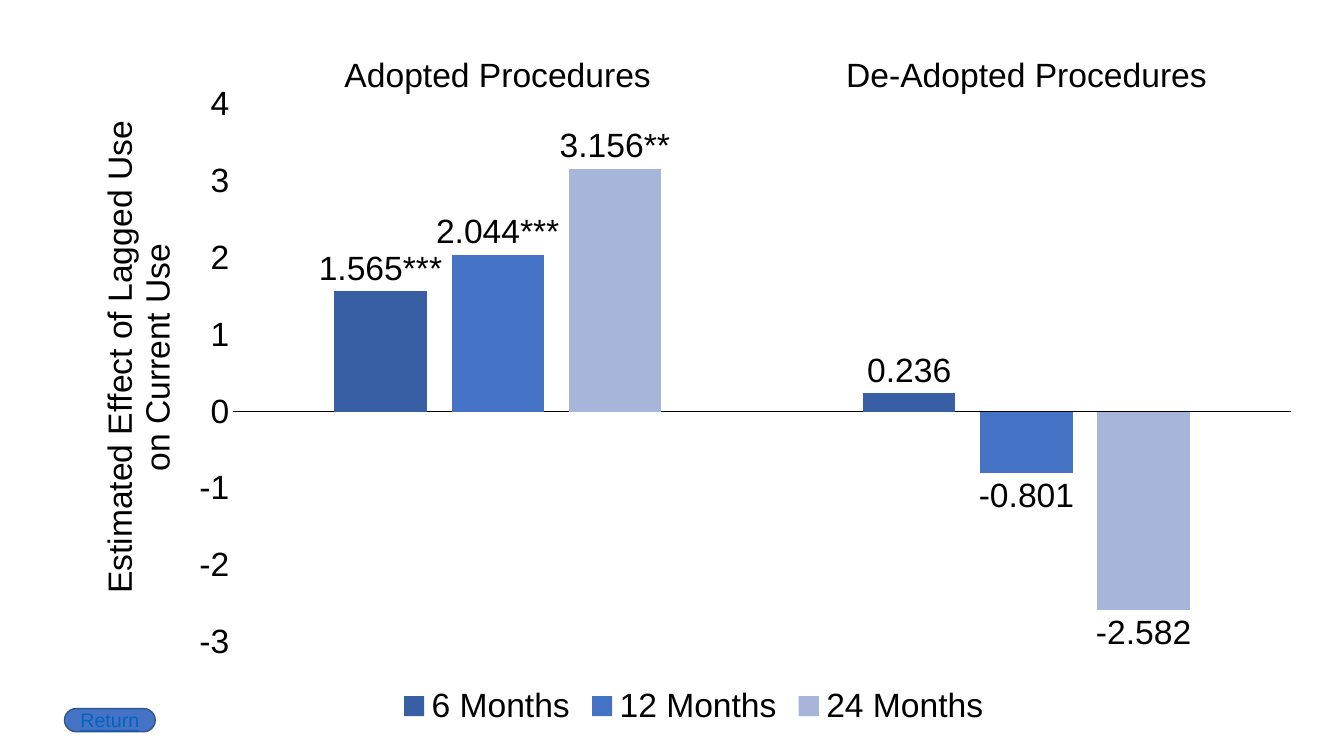
from lxml import etree
from pptx import Presentation
from pptx import util as u
from pptx.chart import data
from pptx.dml.color import RGBColor
from pptx.enum import chart as charts, shapes, text
from pptx.oxml import ns

# Content
CATEGORIES = ["Adopted Procedures", "De-Adopted Procedures"]
BLACK = RGBColor(0x00, 0x00, 0x00)
BLUE = RGBColor(0x44, 0x72, 0xC4)
DARK_BLUE = RGBColor(0x38, 0x5F, 0xA3)
PALE_BLUE = RGBColor(0xA8, 0xB5, 0xDB)
OUTLINE_BLUE = RGBColor(0x32, 0x54, 0x91)
LINK_BLUE = RGBColor(0x05, 0x63, 0xC1)
# name, values, label of the first bar, colour
SERIES = [
    ("6 Months", (1.565, 0.236), "1.565***", DARK_BLUE),
    ("12 Months", (2.044, -0.801), "2.044***", BLUE),
    ("24 Months", (3.156, -2.582), "3.156**", PALE_BLUE),
]
AXIS_TITLE = ["Estimated Effect of Lagged Use", "on Current Use"]
FONT = "Arial"


def set_font(font, size=24, color=BLACK):
    font.name = FONT
    font.size = u.Pt(size)
    font.bold = False
    font.color.rgb = color


def set_layout(parent, index, **fractions):
    """Place a chart part by fractions of the chart's size."""
    for old in parent.findall(ns.qn("c:layout")):
        parent.remove(old)
    layout = etree.Element(ns.qn("c:layout"))
    manual = etree.SubElement(layout, ns.qn("c:manualLayout"))
    if "w" in fractions:
        etree.SubElement(manual, ns.qn("c:layoutTarget"), val="inner")
    for side in ("x", "y"):
        etree.SubElement(manual, ns.qn(f"c:{side}Mode"), val="edge")
    for key, value in fractions.items():
        etree.SubElement(manual, ns.qn(f"c:{key}"), val=str(value))
    parent.insert(index, layout)


presentation = Presentation()
presentation.slide_width = u.Inches(13.33)
presentation.slide_height = u.Inches(7.5)
slide = presentation.slides.add_slide(presentation.slide_layouts[6])

# Chart
chart_data = data.CategoryChartData()
chart_data.categories = CATEGORIES
for name, values, _, _ in SERIES:
    chart_data.add_series(name, values)
chart = slide.shapes.add_chart(
    charts.XL_CHART_TYPE.COLUMN_CLUSTERED,
    u.Inches(0.71), u.Inches(0.42), u.Inches(12.34), u.Inches(6.84), chart_data,
).chart
set_font(chart.font)
chart.has_title = False
chart.has_legend = True
chart.legend.position = charts.XL_LEGEND_POSITION.BOTTOM
chart.legend.include_in_layout = False
set_font(chart.legend.font)
plot_area = chart.plots[0]._element.getparent()
set_layout(plot_area, 0, x=0.13, y=0.09, w=0.85, h=0.78)

# Bars and their labels
plot = chart.plots[0]
plot.gap_width = 219
plot.overlap = -27
plot.vary_by_categories = False
for series, (_, _, first_label, color) in zip(plot.series, SERIES):
    series.format.fill.solid()
    series.format.fill.fore_color.rgb = color
    series.invert_if_negative = False
    labels = series.data_labels
    labels.show_value = True
    labels.position = charts.XL_LABEL_POSITION.OUTSIDE_END
    set_font(labels.font)
    label = series.points[0].data_label
    label.text_frame.text = first_label
    set_font(label.text_frame.paragraphs[0].runs[0].font)
    label.position = charts.XL_LABEL_POSITION.OUTSIDE_END

# Axes
category_axis, value_axis = chart.category_axis, chart.value_axis
for axis in (category_axis, value_axis):
    axis.major_tick_mark = axis.minor_tick_mark = charts.XL_TICK_MARK.NONE
    axis.has_major_gridlines = False
    set_font(axis.tick_labels.font)
category_axis.tick_label_position = charts.XL_TICK_LABEL_POSITION.HIGH
category_axis.format.line.color.rgb = BLACK
category_axis.format.line.width = u.Pt(0.75)
value_axis.minimum_scale = -3
value_axis.maximum_scale = 4
value_axis.major_unit = 1
value_axis.format.line.fill.background()

# Turned title of the value axis
title_frame = value_axis.axis_title.text_frame
title_frame.text = "\n".join(AXIS_TITLE)
for paragraph in title_frame.paragraphs:
    set_font(paragraph.font)
    set_font(paragraph.runs[0].font)
body = title_frame._txBody.find(ns.qn("a:bodyPr"))
body.set("rot", "-5400000")
body.set("vert", "horz")
set_layout(value_axis.axis_title._element, 1, x=0.02, y=0.11)

# Return button
button = slide.shapes.add_shape(
    shapes.MSO_SHAPE.ROUNDED_RECTANGLE,
    u.Inches(0.64), u.Inches(7.03), u.Inches(0.9), u.Inches(0.23),
)
button.adjustments[0] = 0.5
button.shadow.inherit = False
button.fill.solid()
button.fill.fore_color.rgb = BLUE
button.line.color.rgb = OUTLINE_BLUE
button.line.width = u.Pt(1)
button.text_frame.text = "Return"
button.text_frame.vertical_anchor = text.MSO_ANCHOR.MIDDLE
paragraph = button.text_frame.paragraphs[0]
paragraph.alignment = text.PP_ALIGN.CENTER
set_font(paragraph.font, 14, LINK_BLUE)
paragraph.font.underline = True

presentation.save("out.pptx")
